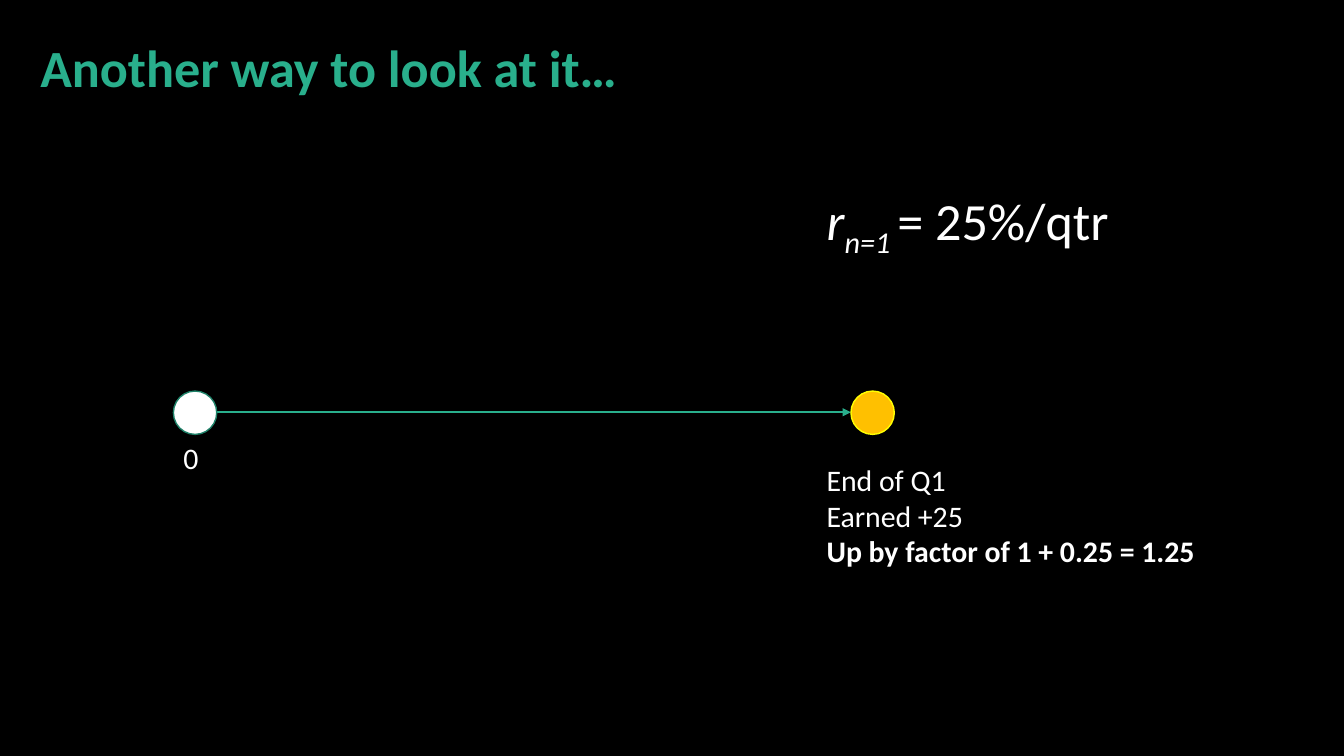
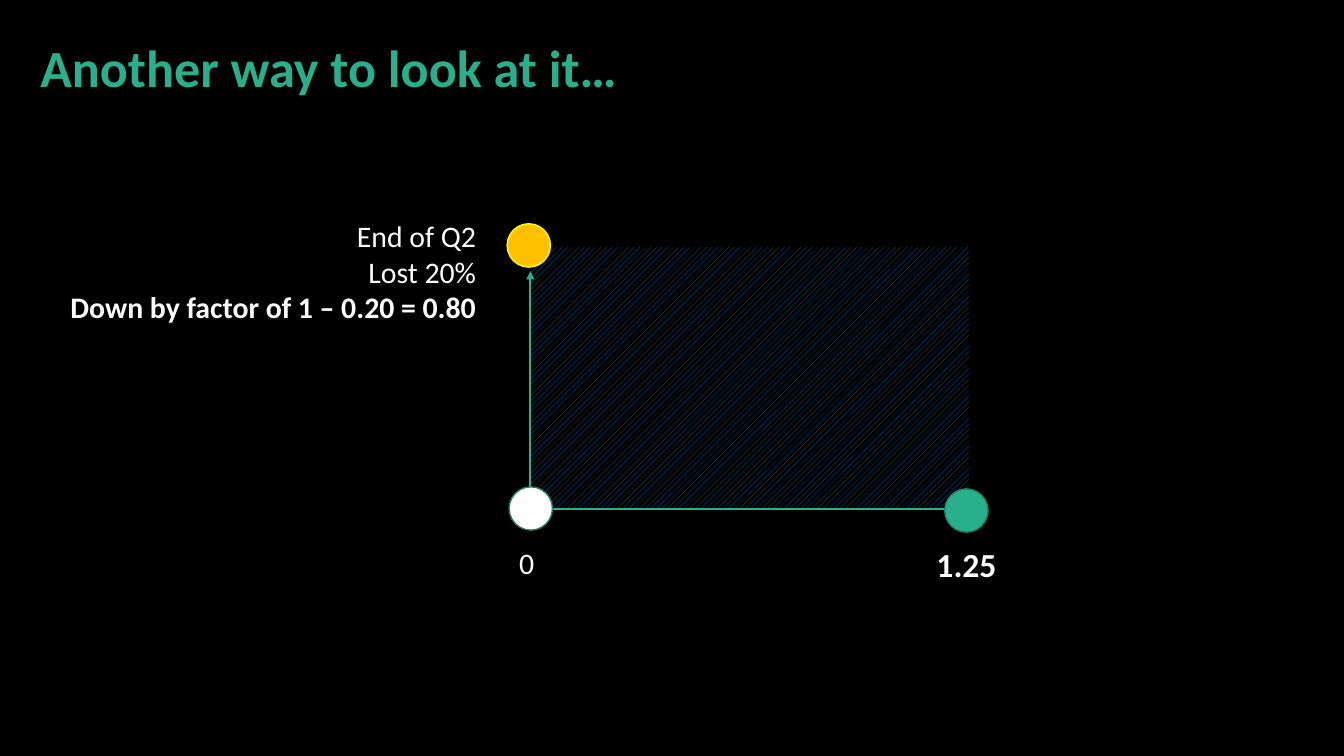
import pptx
import pptx.util
import pptx.dml.color
import pptx.enum.dml
import pptx.enum.shapes
import pptx.enum.text
import pptx.oxml.ns
import pptx.oxml.xmlchemy
from dataclasses import dataclass

PX = 9144  # EMU in one px, 100 px to the inch
SLIDE_SIZE = (1333, 750)
DOT = 43
TITLE_BOX = (30, 30, 599, 73)
TITLE = "Another way to look at it…"


@dataclass(frozen=True)
class Theme:
    font: str = "Calibri"
    background: str = "000000"
    text: str = "FFFFFF"
    accent: str = "29AF8C"
    accent_dark: str = "1E8168"
    gold: str = "FFC000"
    yellow: str = "FFFF00"
    hatch: str = "0070C0"
    large: float = 37.3
    medium: float = 24
    body: float = 21.3
    arrow_width: float = 1.5
    dot_outline: float = 1


THEME = Theme()

# Dot styles: fill and outline
DOT_STYLES = {
    "origin": (THEME.text, THEME.accent_dark),
    "reached": (THEME.accent, THEME.accent_dark),
    "current": (THEME.gold, THEME.yellow),
}

# Content: a paragraph is a list of (text, run format) pairs
BOLD = {"bold": True}
ITALIC = {"italic": True}
RATE = [[("r", ITALIC), ("n=1 ", {"italic": True, "baseline": -25}), ("= 25%/qtr", {})]]
FIRST_QUARTER = [
    [("End of Q1", {})],
    [("Earned +25", {})],
    [("Up by factor of 1 + 0.25 = 1.25", BOLD)],
]
SECOND_QUARTER = [
    [("End of Q2", {})],
    [("Lost 20%", {})],
    [("Down by factor of 1 – 0.20 = 0.80", BOLD)],
]
ORIGIN_LABEL = [[("0", {})]]
GROWTH_LABEL = [[("1.25", BOLD)]]

SLIDES = [
    {
        "dots": [("origin", 172, 388), ("current", 844, 388)],
        "lines": [((215, 409), (844, 409), True)],
        "texts": [
            (ORIGIN_LABEL, (172, 431, 35, 46), {}),
            (FIRST_QUARTER, (810, 453, 391, 118), {}),
            (RATE, (810, 182, 311, 73), {"size": THEME.large}),
        ],
    },
    {
        "hatch": (525, 245, 436, 260),
        "dots": [("origin", 505, 483), ("reached", 937, 485), ("current", 503, 222)],
        "lines": [((548, 505), (937, 505), False), ((526, 483), (526, 269), True)],
        "texts": [
            (ORIGIN_LABEL, (505, 535, 42, 46), {}),
            (GROWTH_LABEL, (919, 535, 80, 50), {"size": THEME.medium}),
            (SECOND_QUARTER, (53, 211, 429, 118),
             {"align": pptx.enum.text.PP_ALIGN.RIGHT}),
        ],
    },
]


def emu(values):
    return [pptx.util.Emu(value * PX) for value in values]


def rgb(value):
    return pptx.dml.color.RGBColor.from_string(value)


def write_text(frame, paragraphs, *, size=THEME.body, color=THEME.text,
               align=pptx.enum.text.PP_ALIGN.LEFT):
    frame.word_wrap = False
    frame.auto_size = pptx.enum.text.MSO_AUTO_SIZE.NONE
    frame.vertical_anchor = pptx.enum.text.MSO_ANCHOR.TOP
    for index, runs in enumerate(paragraphs):
        paragraph = frame.paragraphs[0] if index == 0 else frame.add_paragraph()
        paragraph.alignment = align
        for text, style in runs:
            run = paragraph.add_run()
            run.text = text
            run.font.name = THEME.font
            run.font.size = pptx.util.Pt(size)
            run.font.color.rgb = rgb(color)
            run.font.bold = style.get("bold", False)
            run.font.italic = style.get("italic", False)
            if "baseline" in style:
                properties = run._r.get_or_add_rPr()
                properties.set("baseline", str(style["baseline"] * 1000))


def add_dot(slide, style, left, top):
    fill, outline = DOT_STYLES[style]
    dot = slide.shapes.add_shape(
        pptx.enum.shapes.MSO_SHAPE.OVAL, *emu((left, top, DOT, DOT)))
    dot.shadow.inherit = False
    dot.fill.solid()
    dot.fill.fore_color.rgb = rgb(fill)
    dot.line.color.rgb = rgb(outline)
    dot.line.width = pptx.util.Pt(THEME.dot_outline)


def add_line(slide, start, end, arrow):
    connector = slide.shapes.add_connector(
        pptx.enum.shapes.MSO_CONNECTOR.STRAIGHT, *emu(start + end))
    connector.line.color.rgb = rgb(THEME.accent)
    connector.line.width = pptx.util.Pt(THEME.arrow_width)
    properties = connector._element.spPr
    if arrow:
        head = pptx.oxml.xmlchemy.OxmlElement("a:tailEnd")
        head.set("type", "triangle")
        properties.find(pptx.oxml.ns.qn("a:ln")).append(head)
    properties.append(pptx.oxml.xmlchemy.OxmlElement("a:effectLst"))


def add_hatch(slide, box):
    area = slide.shapes.add_shape(pptx.enum.shapes.MSO_SHAPE.RECTANGLE, *emu(box))
    area.shadow.inherit = False
    area.fill.patterned()
    area.fill.pattern = pptx.enum.dml.MSO_PATTERN.WIDE_UPWARD_DIAGONAL
    area.fill.fore_color.rgb = rgb(THEME.hatch)
    area.fill.back_color.rgb = rgb(THEME.background)
    area.line.fill.background()


def build_slide(presentation, content):
    slide = presentation.slides.add_slide(presentation.slide_layouts[5])
    # Title
    title = slide.shapes.title
    title.left, title.top, title.width, title.height = emu(TITLE_BOX)
    write_text(title.text_frame, [[(TITLE, BOLD)]], size=THEME.large, color=THEME.accent)
    # Diagram
    if "hatch" in content:
        add_hatch(slide, content["hatch"])
    for line in content["lines"]:
        add_line(slide, *line)
    for dot in content["dots"]:
        add_dot(slide, *dot)
    # Labels
    for paragraphs, box, style in content["texts"]:
        write_text(slide.shapes.add_textbox(*emu(box)).text_frame, paragraphs, **style)


def main():
    presentation = pptx.Presentation()
    presentation.slide_width, presentation.slide_height = emu(SLIDE_SIZE)
    # Shared background
    background = presentation.slide_master.background.fill
    background.solid()
    background.fore_color.rgb = rgb(THEME.background)
    for content in SLIDES:
        build_slide(presentation, content)
    presentation.save("out.pptx")


if __name__ == "__main__":
    main()
